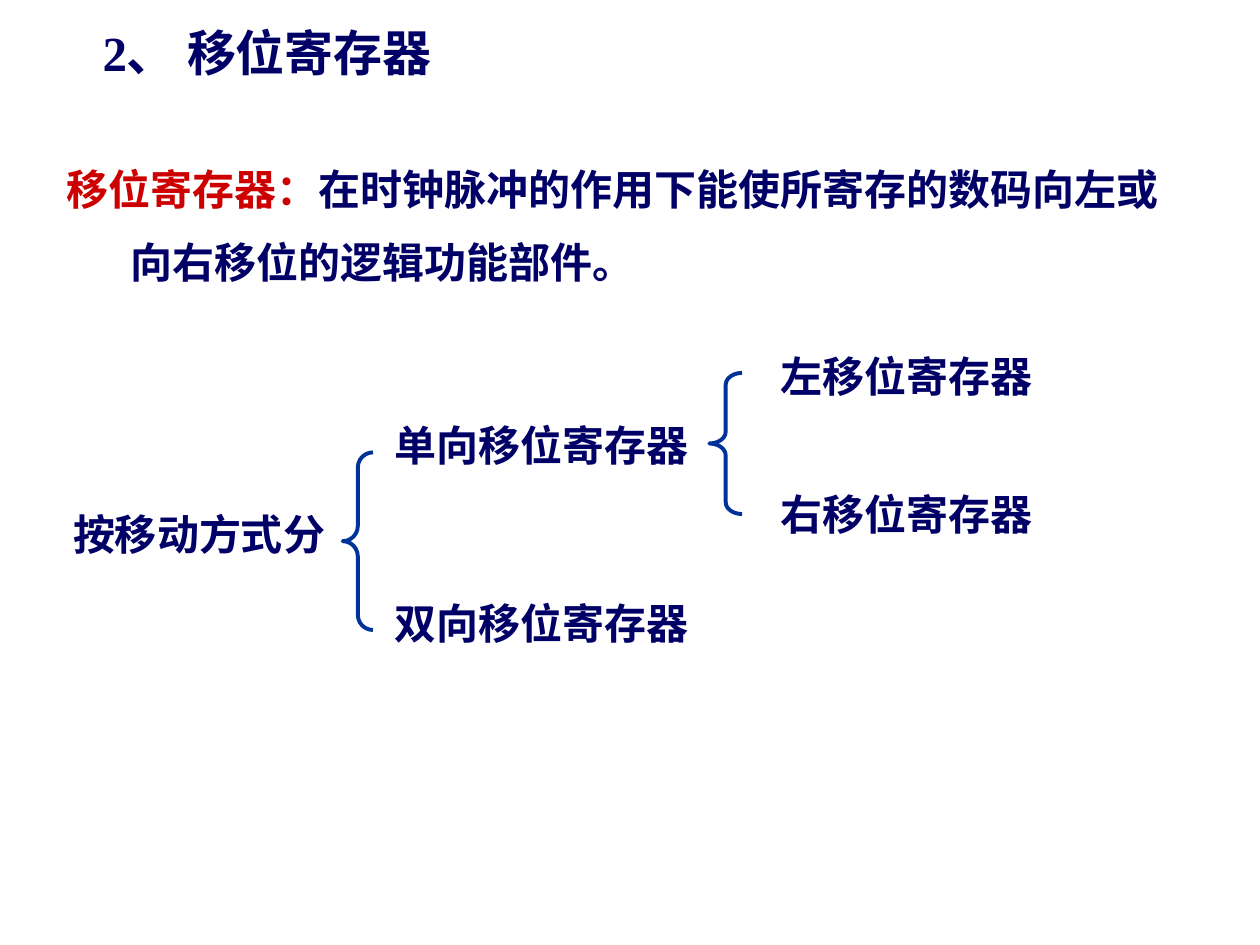
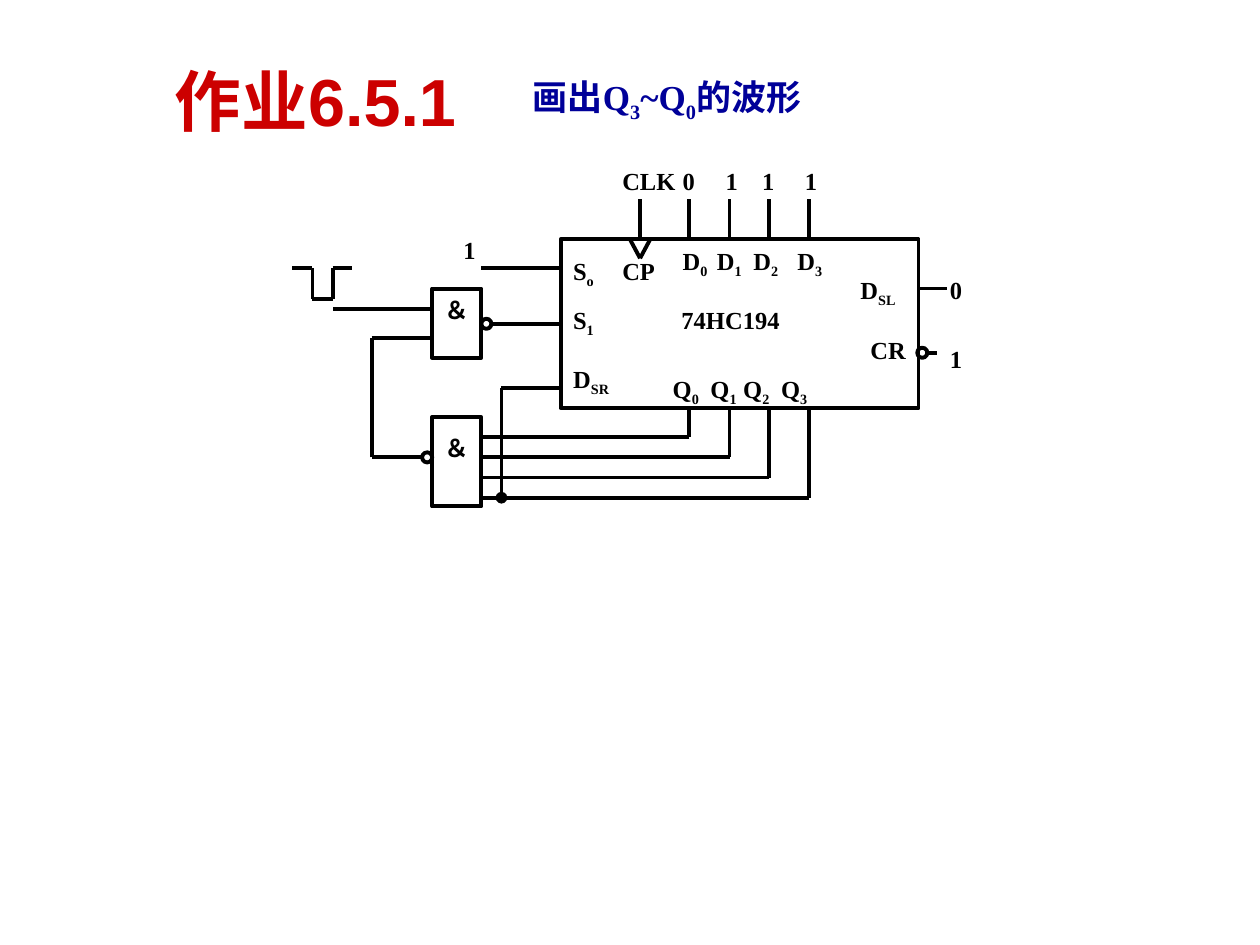
from dataclasses import dataclass
from itertools import pairwise

from lxml.etree import SubElement
from pptx import Presentation
from pptx.dml.color import RGBColor
from pptx.enum.shapes import MSO_CONNECTOR as Connector, MSO_SHAPE as Shape
from pptx.enum.text import MSO_ANCHOR as Anchor, MSO_AUTO_SIZE as AutoSize, PP_ALIGN as Align
from pptx.oxml.ns import qn
from pptx.util import Inches, Pt

COLORS = {
    "navy": "000066",
    "red": "CC0000",
    "brace": "003399",
    "blue": "000099",
    "black": "000000",
}
SERIF = "Times New Roman"
SANS = "Arial"
CHINESE = "Noto Sans CJK SC"
LINE_WIDTH = Pt(2.25)


def color(name):
    return RGBColor.from_string(COLORS[name])


@dataclass
class Region:
    """Part of a slide whose contents are placed from its top left corner."""
    slide: object
    left: float
    top: float

    def place(self, x, y):
        return Inches(self.left + x), Inches(self.top + y)

    def text(self, words, x, y, width, height, size, ink, font=SERIF,
             align=Align.LEFT, anchor=Anchor.TOP):
        """Add bold text; parts between underscores are subscripts."""
        box = self.slide.shapes.add_textbox(*self.place(x, y), Inches(width), Inches(height))
        frame = box.text_frame
        frame.word_wrap = True
        frame.auto_size = AutoSize.NONE
        frame.vertical_anchor = anchor
        paragraph = frame.paragraphs[0]
        paragraph.alignment = align
        paragraph.font.name = font
        paragraph.font.size = Pt(size)
        paragraph.font.bold = True
        paragraph.font.color.rgb = color(ink)
        defaults = paragraph._p.pPr.find(qn("a:defRPr"))
        SubElement(defaults, qn("a:ea")).set("typeface", CHINESE)
        for index, part in enumerate(words.split("_")):
            if part:
                run = paragraph.add_run()
                run.text = part
                if index % 2:
                    run._r.get_or_add_rPr().set("baseline", "-25000")
        return frame

    def outline(self, kind, x, y, width, height, ink="black"):
        shape = self.slide.shapes.add_shape(
            kind, *self.place(x, y), Inches(width), Inches(height))
        shape.shadow.inherit = False
        shape.fill.background()
        shape.line.color.rgb = color(ink)
        shape.line.width = LINE_WIDTH
        return shape

    def wire(self, *points, dot=False):
        """Join the points with straight lines, with a dot at the first if asked."""
        for index, (start, end) in enumerate(pairwise(points)):
            line = self.slide.shapes.add_connector(
                Connector.STRAIGHT, *self.place(*start), *self.place(*end))
            line.line.color.rgb = color("black")
            line.line.width = LINE_WIDTH
            SubElement(line._element.spPr, qn("a:effectLst"))
            if dot and index == 0:
                SubElement(line.line._get_or_add_ln(), qn("a:headEnd")).set("type", "oval")


# Slide 1: shift registers
def add_definition(slide, left, top):
    region = Region(slide, left, top)
    frame = region.text("移位寄存器：", 0, 0, 9.05, 1.46, 24, "navy", CHINESE)
    paragraph = frame.paragraphs[0]
    paragraph.line_spacing = 1.45
    paragraph.runs[0].font.color.rgb = color("red")
    paragraph.add_run().text = "在时钟脉冲的作用下能使所寄存的数码向左或向右移位的逻辑功能部件。"
    properties = paragraph._p.get_or_add_pPr()
    properties.set("marL", str(Inches(0.51)))
    properties.set("indent", str(-Inches(0.51)))


def add_classification(slide, left, top):
    region = Region(slide, left, top)
    entries = [
        ("按移动方式分", 0, 1.26, 2.76, Align.CENTER),
        ("单向移位寄存器", 2.83, 0.55, 3.17, Align.LEFT),
        ("双向移位寄存器", 2.83, 1.96, 3.72, Align.LEFT),
        ("左移位寄存器", 5.9, 0, 2.6, Align.LEFT),
        ("右移位寄存器", 5.9, 1.1, 2.6, Align.LEFT),
    ]
    for words, x, y, width, align in entries:
        region.text(words, x, y, width, 0.5, 24, "navy", CHINESE, align)
    braces = [(2.52, 0.86, 0.24, 1.41, 0.5), (5.43, 0.23, 0.26, 1.12, 0.36)]
    for x, y, width, height, curve in braces:
        brace = region.outline(Shape.LEFT_BRACE, x, y, width, height, "brace")
        brace.adjustments[0] = curve


def build_register_slide(slide):
    Region(slide, 0.27, 0.13).text("2、 移位寄存器", 0, 0, 3.7, 0.57, 28, "navy",
                                   align=Align.CENTER, anchor=Anchor.MIDDLE)
    add_definition(slide, 0.43, 1.07)
    add_classification(slide, 0.2, 2.73)


# Slide 2: homework circuit
def add_homework_title(slide, left, top):
    region = Region(slide, left, top)
    frame = region.text("作业6.5.1", 0, 0, 3.02, 0.58, 38, "red", SANS, anchor=Anchor.BOTTOM)
    frame.margin_top = frame.margin_bottom = 0
    region.text("画出Q_3_~Q_0_的波形", 2.84, 0.02, 3.23, 0.48, 20, "blue")


def add_circuit(slide, left, top):
    region = Region(slide, left, top)
    chip_top, chip_bottom, chip_left, chip_right = 0.63, 1.97, 2.13, 4.97
    gate_left, gate_right = 1.11, 1.5

    # Chip, gates and inverting bubbles
    boxes = [
        (chip_left, chip_top, chip_right - chip_left, chip_bottom - chip_top),
        (gate_left, 1.02, gate_right - gate_left, 0.55),
        (gate_left, 2.04, gate_right - gate_left, 0.71),
    ]
    for box in boxes:
        region.outline(Shape.RECTANGLE, *box)
    for x, y in [(gate_right, 1.26), (1.03, 2.32), (chip_right - 0.01, 1.49)]:
        region.outline(Shape.OVAL, x, y, 0.08, 0.08)

    # Data inputs above the chip, outputs back to the lower gate
    for index, x in enumerate((3.15, 3.47, 3.78, 4.1)):
        depth = 2.2 + 0.16 * index
        region.wire((x, chip_top), (x, 0.31))
        region.wire((x, chip_bottom), (x, depth), (gate_right, depth))

    # Pulse, gate and control wires
    region.wire((0, 0.86), (0.16, 0.86), (0.16, 1.1), (0.32, 1.1), (0.32, 0.86), (0.47, 0.86))
    region.wire((gate_left, 1.18), (0.32, 1.18))
    region.wire((1.03, 2.36), (0.63, 2.36), (0.63, 1.41), (gate_left, 1.41))
    region.wire((chip_left, 0.86), (gate_right, 0.86))
    region.wire((1.58, 1.3), (chip_left, 1.3))
    region.wire((1.66, 2.68), (1.66, 1.81), (chip_left, 1.81), dot=True)
    region.wire((2.68, chip_top), (2.76, 0.78), (2.84, chip_top))
    region.wire((2.76, chip_top), (2.76, 0.31))
    region.wire((chip_right, 1.02), (5.2, 1.02))
    region.wire((5.04, 1.53), (5.12, 1.53))

    # Single labels, then the rows of pin labels
    labels = [
        ("74HC194", 2.99, 1.1), ("S_o_", chip_left, 0.71), ("S_1_", chip_left, 1.1),
        ("D_SR_", chip_left, 1.57), ("＆", gate_left, 1.02), ("＆", gate_left, 2.12),
        ("1", 1.26, 0.55), ("CP", 2.52, 0.71), ("CLK", 2.52, 0),
        ("D_SL_", 4.41, 0.86), ("CR", 4.49, 1.34), ("0", 5.12, 0.86), ("1", 5.12, 1.41),
    ]
    pin_rows = [
        (("0", "1", "1", "1"), (3, 3.34, 3.63, 3.97), 0),
        ([f"D_{pin}_" for pin in range(4)], (3, 3.27, 3.56, 3.91), chip_top),
        ([f"Q_{pin}_" for pin in range(4)], (2.92, 3.22, 3.48, 3.78), 1.65),
    ]
    for names, columns, y in pin_rows:
        labels += [(name, x, y) for name, x in zip(names, columns)]
    for words, x, y in labels:
        region.text(words, x, y, 1.02, 0.34, 14, "black")


def build_homework_slide(slide):
    add_homework_title(slide, 1.29, 0.53)
    add_circuit(slide, 2.32, 1.27)


def main():
    presentation = Presentation()
    presentation.slide_width = Inches(10)
    presentation.slide_height = Inches(7.5)
    blank = presentation.slide_layouts[6]
    for build in (build_register_slide, build_homework_slide):
        build(presentation.slides.add_slide(blank))
    presentation.save("out.pptx")


if __name__ == "__main__":
    main()
